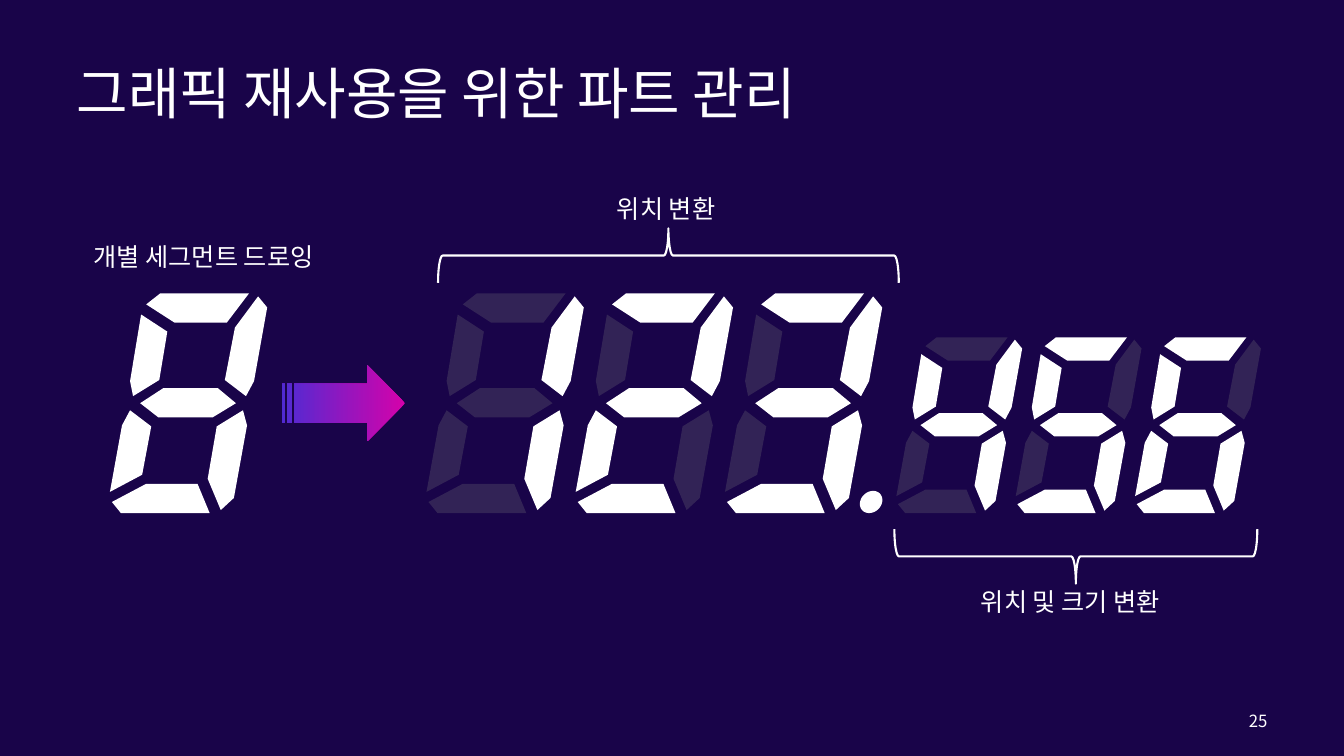
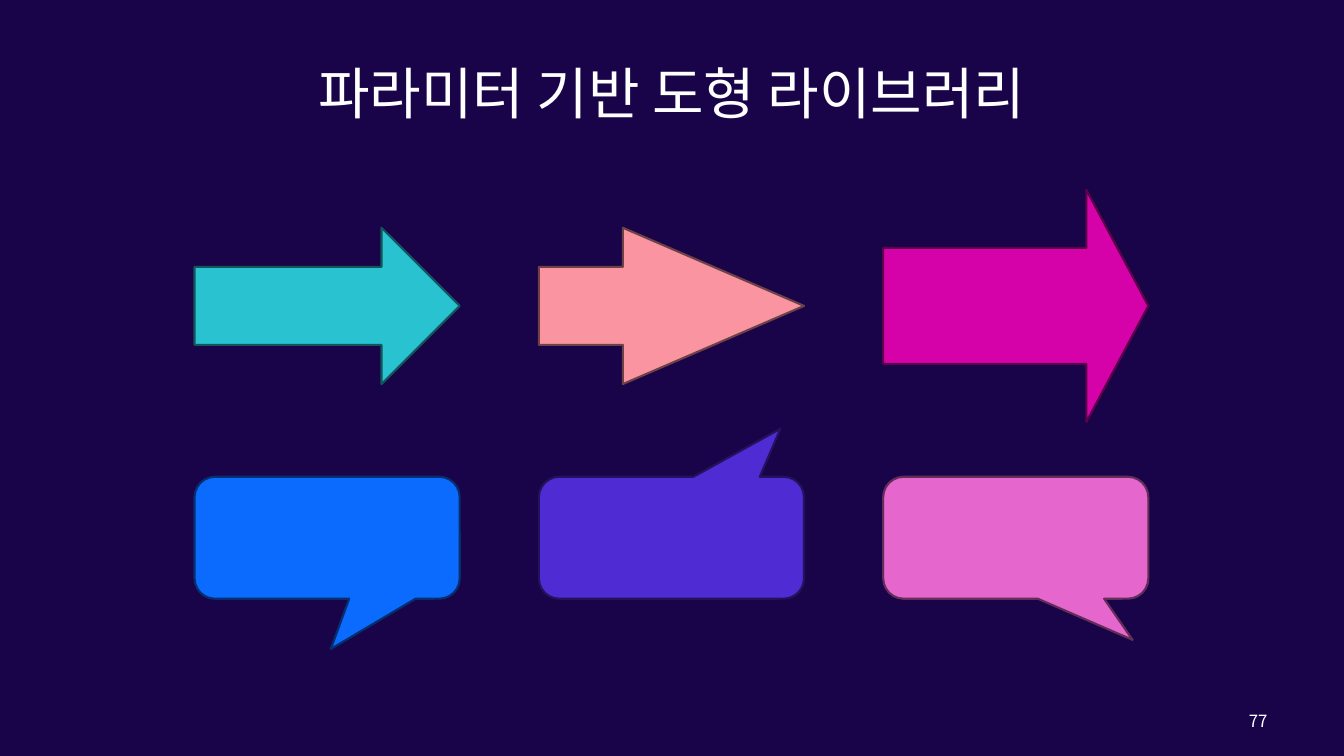
"""Build two dark slides: reusable seven-segment parts and a parametric shape library."""
from dataclasses import dataclass
from math import cos, pi, sin

from lxml.etree import SubElement
from pptx import Presentation
from pptx.dml.color import RGBColor
from pptx.enum.shapes import MSO_SHAPE as Shape
from pptx.enum.text import MSO_ANCHOR as Anchor, MSO_AUTO_SIZE as AutoSize, PP_ALIGN as Align
from pptx.oxml.ns import qn
from pptx.util import Pt

PX = 9144


@dataclass(frozen=True)
class Theme:
    font: str = "Noto Sans CJK KR"
    background: str = "190449"
    ink: str = "FFFFFF"
    unlit: str = "808080"
    unlit_alpha: int = 25
    magenta: str = "D502AA"
    violet: str = "4F2BD3"
    title_size: int = 40
    label_size: int = 18
    number_size: int = 12
    line: float = 1.5


THEME = Theme()
SLIDE_SIZE = (1333, 750)
TITLE_BOX = (66, 40, 1201, 103)
NUMBER_BOX = (1111, 695, 156, 40)

PARTS_SLIDE = ("그래픽 재사용을 위한 파트 관리", Align.LEFT, "25")
LIBRARY_SLIDE = ("파라미터 기반 도형 라이브러리", Align.CENTER, "77")

SEGMENTS = {
    "a": [(36, 11), (50, 0), (138, 0), (116, 29), (64, 29)],
    "b": [(147, 3), (156, 14), (143, 87), (135, 102), (114, 86), (124, 34)],
    "c": [(97, 184), (106, 132), (132, 116), (136, 131), (123, 203), (110, 215)],
    "d": [(36, 189), (87, 189), (99, 218), (11, 218), (2, 207)],
    "e": [(12, 131), (20, 116), (41, 132), (32, 180), (0, 197)],
    "f": [(31, 21), (57, 38), (49, 86), (23, 102), (20, 87)],
    "g": [(30, 109), (53, 94), (107, 94), (125, 109), (102, 123), (48, 123)],
}
LIT = {"1": "bc", "2": "abdeg", "3": "abcdg", "4": "bcfg",
       "5": "acdfg", "6": "acdefg", "8": "abcdefg"}
DIGIT_BOTTOM, DIGIT_HEIGHT, DIGIT_PITCH = 509, 218, 148
SAMPLE = ("8", 109, 1)
READOUT = [("123", 423, 1), ("456", 889, 0.8)]
POINT_CENTER, POINT_RADIUS, POINT_SLANT, POINT_STEPS = (864, 498), 11, 2, 48

LABELS = [
    ("위치 변환", (602, 187, 122, 40)),
    ("위치 및 크기 변환", (963, 577, 207, 40)),
    ("개별 세그먼트 드로잉", (83, 234, 247, 40)),
]
BRACES = [((636, 25, 54, 457), 270), ((1040, 372, 54, 360), 90)]
STRIPED_ARROW = (280, 362, 122, 76)

COLUMN_LEFT, COLUMN_PITCH, COLUMN_WIDTH = 193, 341.5, 263
ARROW_MIDDLE = 303.5
CALLOUT_TOP, CALLOUT_HEIGHT = 473, 121
ARROWS = [
    (155, (0.5, 0.5), "29C2D0", "12555B"),
    (155, (0.5, 1.159), "FA94A1", "6E4147"),
    (230, (0.5, 0.267), THEME.magenta, "5D014B"),
]
CALLOUTS = [
    ((0.014, 0.912, 0.167), "0B6BFF", "052F70"),
    ((0.411, -0.894, 0.167), THEME.violet, "23135C"),
    ((0.441, 0.838, 0.167), "E566CC", "642D59"),
]


def emu(*lengths):
    return [round(length * PX) for length in lengths]


def rgb(code):
    return RGBColor.from_string(code)


def write(box, text, size, align=Align.LEFT):
    para = box.text_frame.paragraphs[0]
    para.alignment = align
    span = para.add_run()
    span.text = text
    span.font.size = Pt(size)
    span.font.name = THEME.font
    span.font.color.rgb = rgb(THEME.ink)
    SubElement(span.font._element, qn("a:ea"), typeface=THEME.font)


def paint(shape, fill=None, line=None, alpha=None):
    shape.shadow.inherit = False
    if fill:
        shape.fill.solid()
        shape.fill.fore_color.rgb = rgb(fill)
    else:
        shape.fill.background()
    if alpha:
        color = shape.fill._xPr.find(qn("a:solidFill"))[0]
        SubElement(color, qn("a:alpha"), val=str(alpha * 1000))
    if line:
        shape.line.color.rgb = rgb(line)
        shape.line.width = Pt(THEME.line)
    else:
        shape.line.fill.background()


def add_preset(page, kind, frame, fill=None, line=None, adjustments=()):
    shape = page.shapes.add_shape(kind, *emu(*frame))
    for index, value in enumerate(adjustments):
        shape.adjustments[index] = value
    paint(shape, fill, line)
    return shape


def add_outline(group, points, fill, alpha=None):
    corners = [emu(*point) for point in points]
    builder = group.shapes.build_freeform(*corners[0], scale=1.0)
    builder.add_line_segments(corners[1:], close=True)
    paint(builder.convert_to_shape(), fill, alpha=alpha)


def add_digits(group, digits, left, scale):
    top = DIGIT_BOTTOM - DIGIT_HEIGHT * scale
    for index, digit in enumerate(digits):
        start = left + index * DIGIT_PITCH * scale
        for name, corners in SEGMENTS.items():
            points = [(start + x * scale, top + y * scale) for x, y in corners]
            if name in LIT[digit]:
                add_outline(group, points, THEME.ink)
            else:
                add_outline(group, points, THEME.unlit, THEME.unlit_alpha)


def add_decimal_point(group):
    x, y = POINT_CENTER
    turns = [2 * pi * step / POINT_STEPS for step in range(POINT_STEPS)]
    points = [(x + POINT_RADIUS * cos(turn) + POINT_SLANT * sin(turn),
               y - POINT_RADIUS * sin(turn)) for turn in turns]
    add_outline(group, points, THEME.ink)


def add_page(deck, heading, align, number):
    page = deck.slides.add_slide(deck.slide_layouts.get_by_name("Title Only"))
    title = page.shapes.title
    title.left, title.top, title.width, title.height = emu(*TITLE_BOX)
    title.text_frame.vertical_anchor = Anchor.MIDDLE
    title.text_frame.auto_size = AutoSize.NONE
    write(title, heading, THEME.title_size, align)
    box = page.shapes.add_textbox(*emu(*NUMBER_BOX))
    box.text_frame.word_wrap = True
    box.text_frame.vertical_anchor = Anchor.MIDDLE
    write(box, number, THEME.number_size, Align.RIGHT)
    return page


def build_parts(deck):
    page = add_page(deck, *PARTS_SLIDE)
    display = page.shapes.add_group_shape()
    for run in READOUT:
        add_digits(display, *run)
    add_decimal_point(display)
    add_digits(page.shapes.add_group_shape(), *SAMPLE)
    for frame, rotation in BRACES:
        add_preset(page, Shape.RIGHT_BRACE, frame, line=THEME.ink).rotation = rotation
    for text, frame in LABELS:
        box = page.shapes.add_textbox(*emu(*frame))
        box.text_frame.word_wrap = False
        box.text_frame.auto_size = AutoSize.SHAPE_TO_FIT_TEXT
        write(box, text, THEME.label_size)
    arrow = add_preset(page, Shape.STRIPED_RIGHT_ARROW, STRIPED_ARROW)
    arrow.fill.gradient()
    arrow.fill.gradient_angle = 180
    for stop, color in zip(arrow.fill.gradient_stops, (THEME.magenta, THEME.violet)):
        stop.color.rgb = rgb(color)


def build_library(deck):
    page = add_page(deck, *LIBRARY_SLIDE)
    lefts = [COLUMN_LEFT + COLUMN_PITCH * column for column in range(len(ARROWS))]
    for left, (height, adjustments, fill, line) in zip(lefts, ARROWS):
        frame = (left, ARROW_MIDDLE - height / 2, COLUMN_WIDTH, height)
        add_preset(page, Shape.RIGHT_ARROW, frame, fill, line, adjustments)
    for left, (adjustments, fill, line) in zip(lefts, CALLOUTS):
        frame = (left, CALLOUT_TOP, COLUMN_WIDTH, CALLOUT_HEIGHT)
        add_preset(page, Shape.ROUNDED_RECTANGULAR_CALLOUT, frame, fill, line, adjustments)


def main():
    deck = Presentation()
    deck.slide_width, deck.slide_height = emu(*SLIDE_SIZE)
    backdrop = deck.slide_master.background.fill
    backdrop.solid()
    backdrop.fore_color.rgb = rgb(THEME.background)
    build_parts(deck)
    build_library(deck)
    deck.save("out.pptx")


if __name__ == "__main__":
    main()
